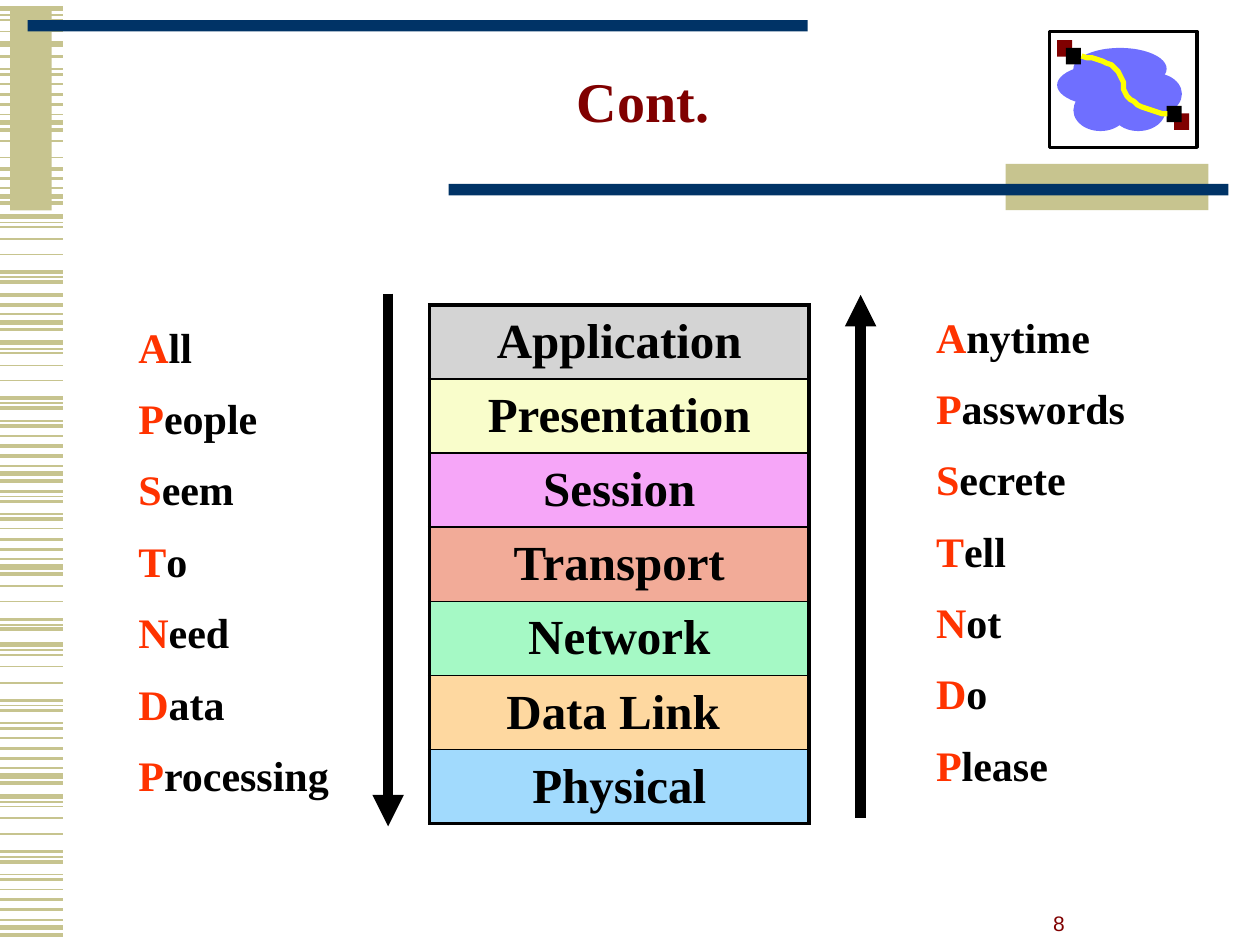
from lxml import etree
from pptx import Presentation
from pptx.dml.color import RGBColor
from pptx.enum.shapes import MSO_CONNECTOR, MSO_SHAPE
from pptx.enum.text import MSO_ANCHOR, PP_ALIGN
from pptx.oxml.ns import qn
from pptx.util import Pt

RECT, OVAL = MSO_SHAPE.RECTANGLE, MSO_SHAPE.OVAL
STRAIGHT = MSO_CONNECTOR.STRAIGHT
LEFT, CENTER = PP_ALIGN.LEFT, PP_ALIGN.CENTER
TOP, MIDDLE, BOTTOM = MSO_ANCHOR.TOP, MSO_ANCHOR.MIDDLE, MSO_ANCHOR.BOTTOM

BLACK = RGBColor(0x00, 0x00, 0x00)
WHITE = RGBColor(0xFF, 0xFF, 0xFF)
SAND = RGBColor(0xC7, 0xC4, 0x8F)
NAVY = RGBColor(0x00, 0x33, 0x66)
MAROON = RGBColor(0x80, 0x00, 0x00)
CLOUD = RGBColor(0x6F, 0x6F, 0xFF)
YELLOW = RGBColor(0xFF, 0xFF, 0x00)
RED = RGBColor(0xFF, 0x33, 0x00)
SERIF = "Times New Roman"

# Content
LAYERS = [
    ("Application", RGBColor(0xAB, 0xAB, 0xAB)),
    ("Presentation", RGBColor(0xF9, 0xFD, 0xCB)),
    ("Session", RGBColor(0xF6, 0xA6, 0xF8)),
    ("Transport", RGBColor(0xF2, 0xAB, 0x98)),
    ("Network", RGBColor(0xA5, 0xF9, 0xC5)),
    ("Data Link ", RGBColor(0xFE, 0xD8, 0xA0)),
    ("Physical", RGBColor(0xA1, 0xDA, 0xFD)),
]
MNEMONICS = [
    ((72, 180, 138.2, 298), "All People Seem To Need Data Processing"),
    ((527.8, 174.2, 149.8, 298), "Anytime Passwords Secrete Tell Not Do Please"),
]
ARROWS = [(221.8, 167.8, 472.3), (491.8, 467.3, 168.5)]  # x, tail y, head y

# Heights of the margin stripes, by line weight
STRIPES = {
    1: [8.6, 11.5, 18, 39.6, 48.2, 65.5, 80.6, 90, 107.3, 127.1, 129.6, 136.4,
        145.4, 158.4, 179.6, 199.4, 201.6, 208.8, 217.4, 230.4, 240.8, 249.1,
        266.4, 283.7, 293.8, 302, 319.3, 334.8, 343.8, 357.1, 371.5, 374.4,
        380.9, 390.2, 403.2, 413.3, 421.6, 438.8, 458.3, 460.8, 467.6, 476.6,
        489.6, 499.7, 508.3, 525.6],
    2: [32.4, 42.5, 54, 59.8, 74.2, 96.5, 101.9, 115.9, 155.5, 161.3, 168.5,
        174.2, 188.3, 227.5, 233.3, 243.4, 254.9, 260.6, 275, 280.8, 286.6,
        296.6, 308.2, 313.9, 328, 353.9, 359.3, 400.3, 406.1, 416.2, 427.7,
        433.4, 447.5, 486.7, 492.5, 502.6, 514.1, 519.8, 534.2],
    3: [5, 25.2, 69.8, 112.3, 123.8, 184.3, 195.8, 270.7, 324, 368.3, 443.5,
        455, 529.9],
}
BARS = [
    ((5.8, 5.8, 23.8, 114.5), SAND),
    ((15.8, 11.5, 445.7, 6.5), NAVY),
    ((574.6, 93.6, 115.9, 26.6), SAND),
    ((256.3, 105.1, 445.7, 6.5), NAVY),
]

# Network pictogram
FRAME = (599.8, 18, 84.2, 66.2)
CLOUD_PUFFS = [
    (604.1, 36.7, 53.3, 23.8), (613.4, 27.4, 53.3, 23.8),
    (613.4, 51.1, 31, 23.8), (635, 51.1, 31, 23.8),
    (635, 41.8, 31, 23.8), (644.4, 41.8, 31, 23.8),
]
NODE_SIZE = (8.6, 9.4)
NODES = [((671, 64.8), MAROON), ((604.1, 23), MAROON),
         ((609.1, 27.4), BLACK), ((666.7, 60.5), BLACK)]
CABLE = [
    [(617.8, 32.4), (630, 32.4), (642.2, 40.3), (642.2, 49)],
    [(642.2, 49), (642.2, 56.9), (654.5, 64.8), (666.7, 64.8)],
]

prs = Presentation()
prs.slide_width, prs.slide_height = Pt(720), Pt(540)
slide = prs.slides.add_slide(prs.slide_layouts[6])


def points(values):
    return [Pt(v) for v in values]


def add_block(box, fill, kind=RECT, outline=None):
    block = slide.shapes.add_shape(kind, *points(box))
    block.shadow.inherit = False
    block.fill.solid()
    block.fill.fore_color.rgb = fill
    if outline:
        block.line.color.rgb = outline
        block.line.width = Pt(2)
    else:
        block.line.fill.background()


def add_line(start, end, color, width, arrow=False):
    line = slide.shapes.add_connector(STRAIGHT, *points(start + end))
    line.line.color.rgb = color
    line.line.width = Pt(width)
    properties = line._element.spPr
    if arrow:
        etree.SubElement(properties.find(qn("a:ln")), qn("a:tailEnd"), type="triangle")
    etree.SubElement(properties, qn("a:effectLst"))


def write(frame, paragraphs, size, font=SERIF, bold=True, align=LEFT,
          anchor=TOP, gap=0, spacing=None):
    """Each paragraph is a list of (text, colour) runs."""
    frame.word_wrap = True
    frame.vertical_anchor = anchor
    for i, runs in enumerate(paragraphs):
        paragraph = frame.add_paragraph() if i else frame.paragraphs[0]
        paragraph.alignment = align
        if spacing:
            paragraph.line_spacing = spacing
        if i and gap:
            paragraph.space_before = Pt(gap)
        for text, color in runs:
            run = paragraph.add_run()
            run.text = text
            run.font.name, run.font.size, run.font.bold = font, Pt(size), bold
            run.font.color.rgb = color


def add_text(box, paragraphs, size, **style):
    frame = slide.shapes.add_textbox(*points(box)).text_frame
    write(frame, paragraphs, size, **style)
    return frame


def set_borders(cell, widths):
    properties = cell._tc.get_or_add_tcPr()
    for i, (side, width) in enumerate(widths.items()):
        border = etree.Element(qn("a:ln" + side), w=str(Pt(width)))
        fill = etree.SubElement(border, qn("a:solidFill"))
        etree.SubElement(fill, qn("a:srgbClr"), val=str(BLACK))
        properties.insert(i, border)


def bezier(curve, t):
    weights = ((1 - t) ** 3, 3 * t * (1 - t) ** 2, 3 * t * t * (1 - t), t ** 3)
    return tuple(sum(w * p[axis] for w, p in zip(weights, curve)) for axis in (0, 1))


# Page number
add_text((594, 516.2, 22.3, 22.3), [[("8", MAROON)]], 12, font="Arial",
         bold=False, align=CENTER, anchor=BOTTOM)

# Margin stripes and bars
for weight, heights in STRIPES.items():
    for y in heights:
        add_line((0, y), (36, y), SAND, weight)
for box, color in BARS:
    add_block(box, color)

# Pictogram: frame, cloud, nodes, cable
add_block(FRAME, WHITE, outline=BLACK)
for box in CLOUD_PUFFS:
    add_block(box, CLOUD, kind=OVAL)
for corner, color in NODES:
    add_block(corner + NODE_SIZE, color)
STEPS = 12
route = [bezier(curve, i / STEPS) for curve in CABLE for i in range(STEPS + 1)]
builder = slide.shapes.build_freeform(*route[0], scale=Pt(1))
builder.add_line_segments(route[1:], close=False)
cable = builder.convert_to_shape()
cable.shadow.inherit = False
cable.fill.background()
cable.line.color.rgb = YELLOW
cable.line.width = Pt(3)

# Title
title = add_text((36, 0, 666, 120.2), [[("Cont.", MAROON)]], 32, align=CENTER,
                 anchor=MIDDLE, spacing=0.85)
title.margin_left, title.margin_right = Pt(7.2), Pt(10.1)

# Layer stack
stack = slide.shapes.add_table(len(LAYERS), 1, *points((245.5, 174.2, 216.7, 296.6))).table
stack.first_row = stack.horz_banding = False
last = len(LAYERS) - 1
for i, (layer, color) in enumerate(LAYERS):
    cell = stack.cell(i, 0)
    cell.fill.solid()
    cell.fill.fore_color.rgb = color
    write(cell.text_frame, [[(layer, BLACK)]], 28, align=CENTER)
    cell.vertical_anchor = MIDDLE
    set_borders(cell, {"L": 2.25, "R": 2.25, "T": 1 if i else 2.25,
                       "B": 1 if i < last else 2.25})
top_color = stack.cell(0, 0)._tc.tcPr.find(qn("a:solidFill"))[0]
etree.SubElement(top_color, qn("a:alpha"), val="50000")

# Mnemonics with red initials, and the reading direction of each
for box, sentence in MNEMONICS:
    add_text(box, [[(word[0], RED), (word[1:], BLACK)] for word in sentence.split()],
             24, gap=12)
for x, tail, head in ARROWS:
    add_line((x, tail), (x, head), BLACK, 6, arrow=True)

prs.save("out.pptx")
